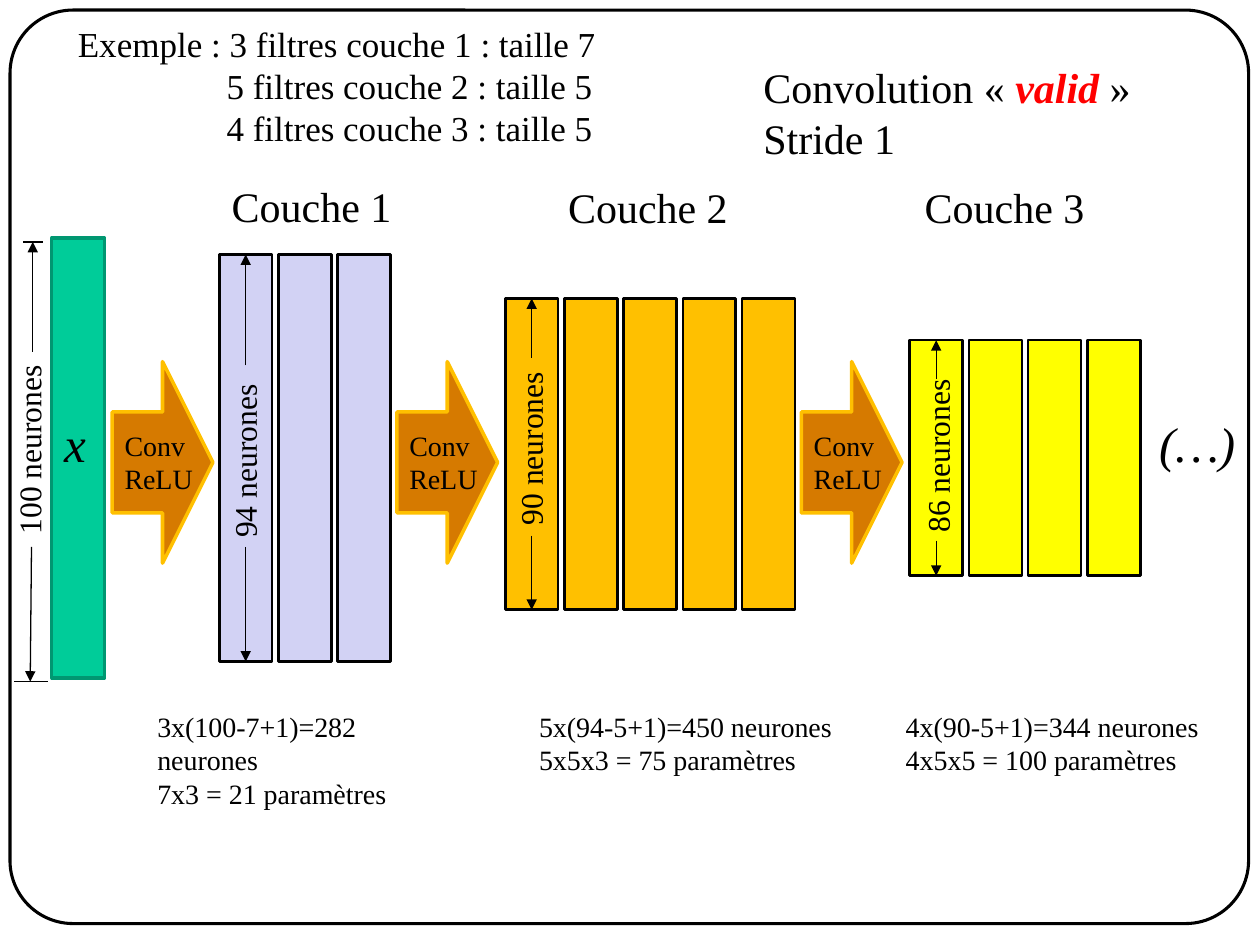
from pptx import Presentation
from pptx import util as u
from pptx.dml.color import RGBColor
from pptx.enum import shapes, text
from pptx.oxml.ns import qn
from lxml import etree

FONT = "Times New Roman"
BLACK = "000000"
COLUMN_WIDTH, COLUMN_STEP = 0.42, 0.47

EXAMPLE = ["Exemple : 3 filtres couche 1 : taille 7",
           "5 filtres couche 2 : taille 5",
           "4 filtres couche 3 : taille 5"]
EXAMPLE_INDENT = 1.18
LAYERS = [
    dict(title="Couche 1", title_at=(1.74, 1.38), left=1.74, top=2.02, height=3.23,
         count=3, fill="D2D2F4", size="94 neurones", label_at=(1.94, 3.66), gap=(2.9, 4.34),
         notes=["3x(100-7+1)=282 neurones", "7x3 = 21 paramètres"], notes_left=1.15),
    dict(title="Couche 2", title_at=(4.41, 1.39), left=4.01, top=2.37, height=2.47,
         count=5, fill="FFC000", size="90 neurones", label_at=(4.21, 3.56), gap=(2.84, 4.25),
         notes=["5x(94-5+1)=450 neurones", "5x5x3 = 75 paramètres"], notes_left=4.18),
    dict(title="Couche 3", title_at=(7.24, 1.39), left=7.22, top=2.7, height=1.87,
         count=4, fill="FFFF00", size="86 neurones", label_at=(7.44, 3.62), gap=(3.01, 4.29),
         notes=["4x(90-5+1)=344 neurones", "4x5x5 = 100 paramètres"], notes_left=7.09),
]
CONV_LEFTS = [0.89, 3.15, 6.36]
INPUT_SIZE_LINES = [
    ((0.26, 2.79), (0.26, 1.92), True),
    ((0.34, 1.92), (0.18, 1.92), False),
    ((0.25, 4.34), (0.24, 5.41), True),
    ((0.38, 5.41), (0.11, 5.41), False),
]


def color(value):
    return RGBColor.from_string(value)


def add_box(slide, kind, at, fill, line, width):
    shape = slide.shapes.add_shape(kind, *map(u.Inches, at))
    shape.shadow.inherit = False
    if fill:
        shape.fill.solid()
        shape.fill.fore_color.rgb = color(fill)
    else:
        shape.fill.background()
    shape.line.color.rgb = color(line)
    shape.line.width = u.Pt(width)
    return shape


def style(run, size, ink=BLACK, bold=False, italic=False):
    run.font.name, run.font.size = FONT, u.Pt(size)
    run.font.color.rgb = color(ink)
    run.font.bold, run.font.italic = bold, italic


def add_text(slide, at, lines, size, italic=False, wrap=False):
    box = slide.shapes.add_textbox(*map(u.Inches, at))
    frame = box.text_frame
    frame.word_wrap = wrap
    frame.text = "\n".join(lines)
    for paragraph in frame.paragraphs:
        for run in paragraph.runs:
            style(run, size, italic=italic)
    return box


def add_vertical_label(slide, center, label, width):
    x, y = center
    box = add_text(slide, (x - width / 2, y - 0.2, width, 0.4), [label], 18)
    box.rotation = 270
    box.text_frame.paragraphs[0].alignment = text.PP_ALIGN.CENTER


def add_line(slide, start, end, arrow):
    line = slide.shapes.add_connector(shapes.MSO_CONNECTOR.STRAIGHT, *map(u.Inches, start + end))
    line.line.color.rgb = color(BLACK)
    line.line.width = u.Pt(0.75)
    if arrow:
        etree.SubElement(line.line._get_or_add_ln(), qn("a:tailEnd"), type="triangle")
    etree.SubElement(line._element.spPr, qn("a:effectLst"))
    return line


def add_layer(slide, layer):
    left, top, height = layer["left"], layer["top"], layer["height"]
    add_text(slide, layer["title_at"] + (1.48, 0.5), [layer["title"]], 24)
    add_text(slide, (layer["notes_left"], 5.58, 2.6, 0.64), layer["notes"], 16)
    columns = [add_box(slide, shapes.MSO_SHAPE.RECTANGLE,
                       (left + i * COLUMN_STEP, top, COLUMN_WIDTH, height),
                       layer["fill"], BLACK, 1.5)
               for i in range(layer["count"])]
    add_vertical_label(slide, layer["label_at"], layer["size"], 1.43)
    middle = left + COLUMN_WIDTH / 2
    for start, end, site in zip(layer["gap"], (top, top + height), (0, 2)):
        line = add_line(slide, (middle, start), (middle, end), True)
        line.end_connect(columns[0], site)


def main():
    presentation = Presentation()
    presentation.slide_width, presentation.slide_height = u.Inches(10), u.Inches(7.5)
    slide = presentation.slides.add_slide(presentation.slide_layouts[6])

    border = add_box(slide, shapes.MSO_SHAPE.ROUNDED_RECTANGLE,
                     (0.08, 0.08, 9.83, 7.25), None, BLACK, 1.75)
    border.adjustments[0] = 0.069

    example = add_text(slide, (0.52, 0.13, 4.34, 1.11), EXAMPLE, 20)
    for paragraph in example.text_frame.paragraphs[1:]:
        paragraph._p.get_or_add_pPr().set("marL", str(u.Inches(EXAMPLE_INDENT)))

    mode = add_text(slide, (5.96, 0.44, 3.14, 0.91), ["Convolution « ", "Stride 1"], 24, wrap=True)
    for words, ink, strong in (("valid", "FF0000", True), (" »", BLACK, False)):
        run = mode.text_frame.paragraphs[0].add_run()
        run.text = words
        style(run, 24, ink, strong, strong)

    add_box(slide, shapes.MSO_SHAPE.RECTANGLE, (0.41, 1.89, COLUMN_WIDTH, 3.49),
            "00CC99", "009771", 2)
    add_text(slide, (0.41, 3.23, 0.38, 0.57), ["x"], 28, italic=True)
    add_vertical_label(slide, (0.23, 3.57), "100 neurones", 1.56)
    for start, end, arrow in INPUT_SIZE_LINES:
        add_line(slide, start, end, arrow)

    for left in CONV_LEFTS:
        add_box(slide, shapes.MSO_SHAPE.RIGHT_ARROW, (left, 2.87, 0.8, 1.6),
                "D67A00", "FFC000", 2)
        add_text(slide, (left, 3.35, 0.84, 0.64), ["Conv", "ReLU"], 16, wrap=True)
    for layer in LAYERS:
        add_layer(slide, layer)
    add_text(slide, (9.1, 3.23, 0.81, 0.57), ["(…)"], 28, italic=True)

    presentation.save("out.pptx")


if __name__ == "__main__":
    main()
